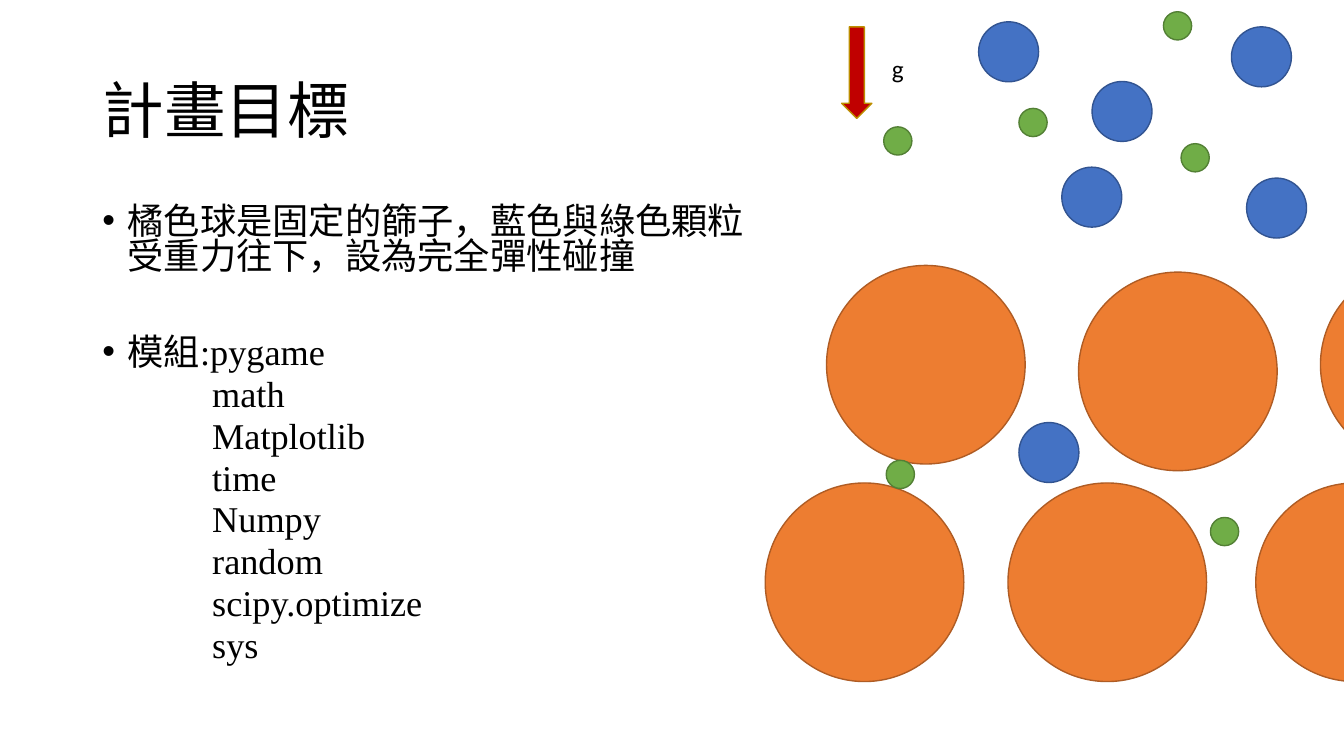
"""Build the project-goal slide: a fixed sieve of balls with grains falling under gravity."""
from dataclasses import dataclass

from lxml import etree
from pptx import Presentation
from pptx.dml.color import RGBColor
from pptx.enum import shapes, text
from pptx.oxml.ns import qn
from pptx.util import Inches, Pt


@dataclass(frozen=True)
class Theme:
    ink: str = "000000"
    sieve: tuple = ("ED7D31", "AF5C24")
    large_grain: tuple = ("4472C4", "325491")
    small_grain: tuple = ("70AD47", "538035")
    gravity: tuple = ("C00000", "BD8E00")
    serif: str = "Times New Roman"
    sans: str = "Calibri"
    title_size: float = 44
    body_size: float = 25.9
    label_size: float = 18


theme = Theme()
presentation = Presentation()
presentation.slide_width = Inches(13.333)
presentation.slide_height = Inches(7.5)
slide = presentation.slides.add_slide(presentation.slide_layouts[5])
cell = presentation.slide_height / 90


def add_figure(kind, colours, *box):
    shape = slide.shapes.add_shape(kind, *(round(cells * cell) for cells in box))
    shape.shadow.inherit = False
    shape.fill.solid()
    shape.fill.fore_color.rgb = RGBColor.from_string(colours[0])
    shape.line.color.rgb = RGBColor.from_string(colours[1])
    shape.line.width = Pt(1)


def style(paragraph, name, size, spacing=1.0, before=0):
    paragraph.alignment = text.PP_ALIGN.LEFT
    paragraph.line_spacing = spacing
    paragraph.space_before = Pt(before)
    paragraph.font.name = name
    paragraph.font.size = Pt(size)
    paragraph.font.color.rgb = RGBColor.from_string(theme.ink)


title = slide.shapes.title
title.left, title.top, title.width, title.height = (
    round(cells * cell) for cells in (11, 4.8, 80, 17.4))
title.text_frame.text = "計畫目標"
title.text_frame.word_wrap = True
title.text_frame.auto_size = text.MSO_AUTO_SIZE.NONE
title.text_frame.vertical_anchor = text.MSO_ANCHOR.MIDDLE
style(title.text_frame.paragraphs[0], theme.serif, theme.title_size, 0.9)

goals = [
    ("橘色球是固定的篩子，藍色與綠色顆粒受重力往下，設為完全彈性碰撞", 0),
    ("模組:pygame", 44),
]
modules = ["math", "Matplotlib", "time", "Numpy", "random", "scipy.optimize", "sys"]

body = slide.shapes.add_textbox(*(round(cells * cell) for cells in (11, 24, 80, 57.1)))
body.text_frame.word_wrap = True
body.text_frame.text = "\n".join([goal for goal, before in goals] + modules)
paragraphs = body.text_frame.paragraphs
for paragraph, (goal, before) in zip(paragraphs, goals):
    properties = paragraph._p.get_or_add_pPr()
    properties.set("marL", str(Inches(0.25)))
    properties.set("indent", str(-Inches(0.25)))
    etree.SubElement(properties, qn("a:buFont"), typeface="Arial")
    etree.SubElement(properties, qn("a:buChar"), char="•")
    style(paragraph, theme.serif, theme.body_size, 0.8, before)
for paragraph in paragraphs[len(goals):]:
    paragraph._p.get_or_add_pPr().set("marL", str(Inches(1.09)))
    style(paragraph, theme.serif, theme.body_size, 0.8, 5)

balls = [
    (theme.sieve, 23.64, [(91.1, 57.5), (120, 57.5), (149.5, 57.5),
                          (128.4, 32.4), (98.4, 31.6), (157.2, 31.6)]),
    (theme.large_grain, 7.14, [(126.4, 19.9), (130, 9.7), (148.4, 21.2),
                               (146.6, 3.2), (116.5, 2.6), (121.3, 50.3)]),
    (theme.small_grain, 3.36, [(105.2, 15.1), (144.1, 61.6), (105.5, 54.8),
                               (121.3, 12.9), (140.6, 17.1), (138.5, 1.4)]),
]
for colours, diameter, corners in balls:
    for left, top in corners:
        add_figure(shapes.MSO_SHAPE.OVAL, colours, left, top, diameter, diameter)

add_figure(shapes.MSO_SHAPE.DOWN_ARROW, theme.gravity, 100.2, 3.2, 3.6, 10.9)
label = slide.shapes.add_textbox(*(round(cells * cell) for cells in (105, 5.8, 4.2, 4.8)))
label.text_frame.word_wrap = True
label.text_frame.text = "g"
style(label.text_frame.paragraphs[0], theme.sans, theme.label_size)

presentation.save("out.pptx")
